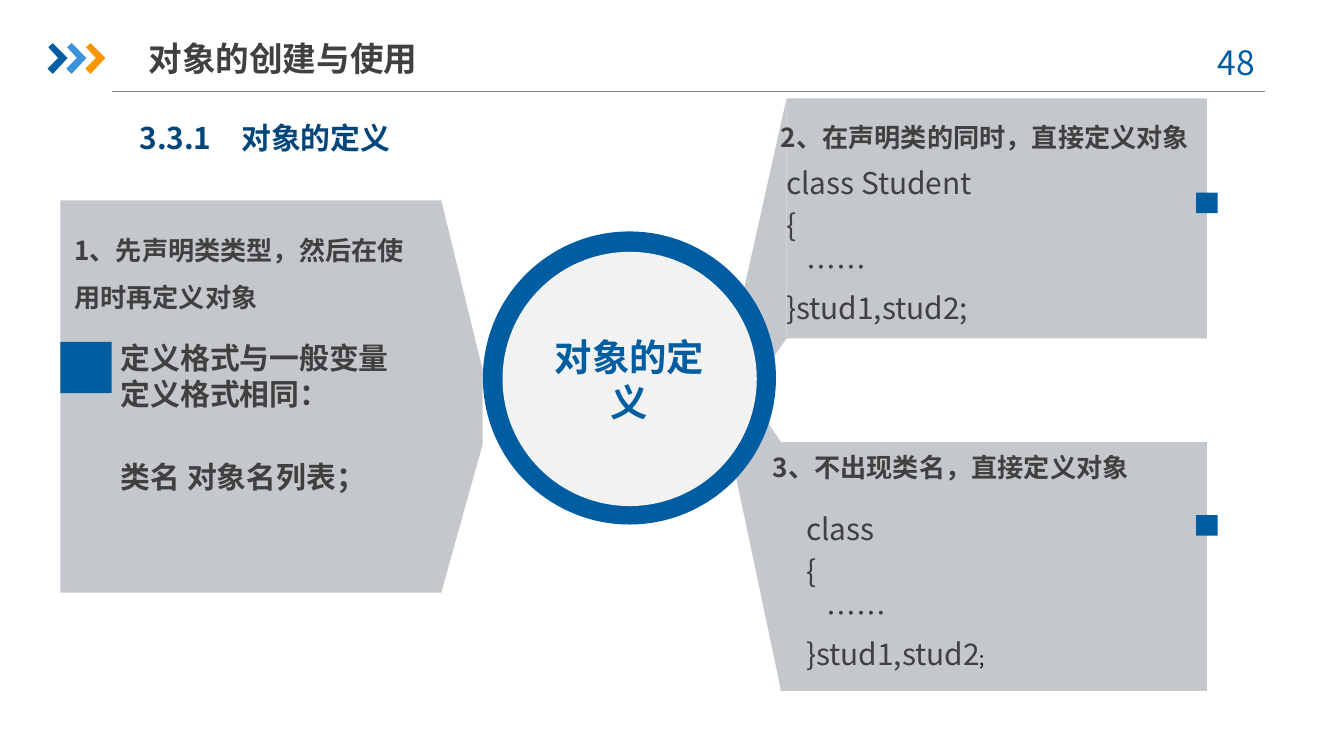
from lxml.etree import SubElement
from pptx import Presentation
from pptx.dml.color import RGBColor
from pptx.enum.shapes import MSO_CONNECTOR, MSO_SHAPE
from pptx.enum.text import MSO_ANCHOR as Anchor, PP_ALIGN as Align
from pptx.oxml.ns import qn
from pptx.util import Pt

FONT = "Noto Sans CJK SC"
COLOURS = {name: RGBColor.from_string(code) for name, code in {
    "blue": "005DA2", "sky": "3992DB", "orange": "F79600", "navy": "00467A",
    "panel": "C4C7CB", "disc": "F2F2F2", "text": "404040", "rule": "808080",
    "black": "000000"}.items()}

deck = Presentation()
deck.slide_width, deck.slide_height = Pt(720), Pt(405)
page = deck.slides.add_slide(deck.slide_layouts[6])
shapes = page.shapes


def add_filled(colour, kind=None, frame=None, points=None):
    """Add a preset shape in a frame, or a polygon through points."""
    if points:
        corners = [(Pt(x), Pt(y)) for x, y in points]
        builder = shapes.build_freeform(*corners[0], scale=1.0)
        builder.add_line_segments(corners[1:], close=True)
        shape = builder.convert_to_shape()
    else:
        shape = shapes.add_shape(kind, *map(Pt, frame))
    shape.shadow.inherit = False
    shape.fill.solid()
    shape.fill.fore_color.rgb = COLOURS[colour]
    shape.line.fill.background()
    return shape


def write(frame, lines, size, colour="text", bold=True, align=Align.LEFT,
          anchor=Anchor.TOP, side=0, before=0, spacing=None, shape=None):
    """Write lines into a shape, or into a new text box at frame."""
    box = shape or shapes.add_textbox(*map(Pt, frame))
    body = box.text_frame
    body.word_wrap = True
    body.vertical_anchor = anchor
    body.margin_left = body.margin_right = Pt(side)
    for index, line in enumerate(lines):
        para = body.add_paragraph() if index else body.paragraphs[0]
        para.add_run().text = line
        para.alignment = align
        para.space_before = Pt(before)
        if spacing:
            para.line_spacing = spacing
        font = para.font
        font.size, font.bold, font.name = Pt(size), bold, FONT
        font.color.rgb = COLOURS[colour]
        SubElement(font._element, qn("a:ea")).set("typeface", FONT)
    return body.paragraphs


# Header
rule = shapes.add_connector(MSO_CONNECTOR.STRAIGHT, Pt(59.8), Pt(49), Pt(677.5), Pt(49))
rule.line.color.rgb = COLOURS["rule"]
rule.line.width = Pt(0.75)
SubElement(rule._element.spPr, qn("a:effectLst"))

chevron = [(0.5, 2.2), (2.9, 0), (10.8, 8), (2.9, 16.5), (0, 13.7), (5.7, 8)]
for step, colour in enumerate(["blue", "sky", "orange"]):
    add_filled(colour, points=[(25.4 + 10.1 * step + x, 23.1 + y) for x, y in chevron])

write((636, 18.7, 52.6, 28.8), ["48"], 18, "blue", False, Align.CENTER, side=7.2)
write((67.7, 15.8, 167.8, 30.2), ["对象的创建与使用"], 18,
      align=Align.CENTER, anchor=Anchor.MIDDLE)
write((67.7, 60.5, 230.4, 26.6), ["3.3.1　对象的定义"], 16, "navy", side=7.2)

# Panels: a rectangle and a side that points at the circle
panels = [
    ((32.4, 107.3, 204, 210.2),
     [(236.4, 107.3), (258.5, 198), (258.5, 238.3), (236.4, 317.5)]),
    ((421.4, 52.7, 225.2, 128.7),
     [(421.4, 52.7), (385.9, 211.7), (391, 224.6), (421.4, 181.4)]),
    ((418.4, 236.9, 228.2, 133.2),
     [(418.4, 370.1), (383.8, 205.9), (388.1, 192.2), (418.4, 236.9)]),
]
for frame, side_points in panels:
    add_filled("panel", MSO_SHAPE.RECTANGLE, frame)
    add_filled("panel", points=side_points)

for frame in [(32.4, 183.2, 27.4, 27.4), (640.8, 103.2, 11.5, 11), (640.8, 276, 11.5, 11)]:
    add_filled("blue", MSO_SHAPE.RECTANGLE, frame)

# Panel headings
headings = [
    ((39.8, 113.8, 189.4, 65.5), "1、先声明类类型，然后在使用时再定义对象", 1.5),
    ((418.3, 56.2, 228.2, 46.8), "2、在声明类的同时，直接定义对象", 1.3),
    ((414, 238.3, 211, 33.1), "3、不出现类名，直接定义对象", None),
]
for frame, heading, spacing in headings:
    write(frame, [heading], 14, before=2.8, spacing=spacing)

# Panel bodies
format_lines = write((64.8, 175.7, 159.1, 95.8),
                     ["定义格式与一般变量定义格式相同：", "类名 对象名列表；"],
                     16, anchor=Anchor.MIDDLE, before=3.2)
format_lines[1].space_before = Pt(25.5)

for frame, opening, ending in [
        ((421.2, 87.1, 203.8, 88.6), "class Student", "}stud1,stud2;"),
        ((432, 266.4, 204.5, 100.8), "class", "}stud1,stud2")]:
    code = write(frame, [opening, "{", "……", ending], 16, bold=False,
                 anchor=Anchor.MIDDLE, before=3.2)
    code[2]._p.get_or_add_pPr().set("marL", str(Pt(10.8)))

semicolon = code[-1].add_run()
semicolon.text = ";"
semicolon.font.size = Pt(10)
semicolon.font.color.rgb = COLOURS["black"]

# Circle
add_filled("blue", MSO_SHAPE.OVAL, (258.7, 124, 157, 157))
disc = add_filled("disc", MSO_SHAPE.OVAL, (269.2, 134.9, 136.2, 136.2))
write(None, ["对象的定义"], 20, "blue", align=Align.CENTER,
      anchor=Anchor.MIDDLE, side=7.2, shape=disc)

deck.save("out.pptx")
